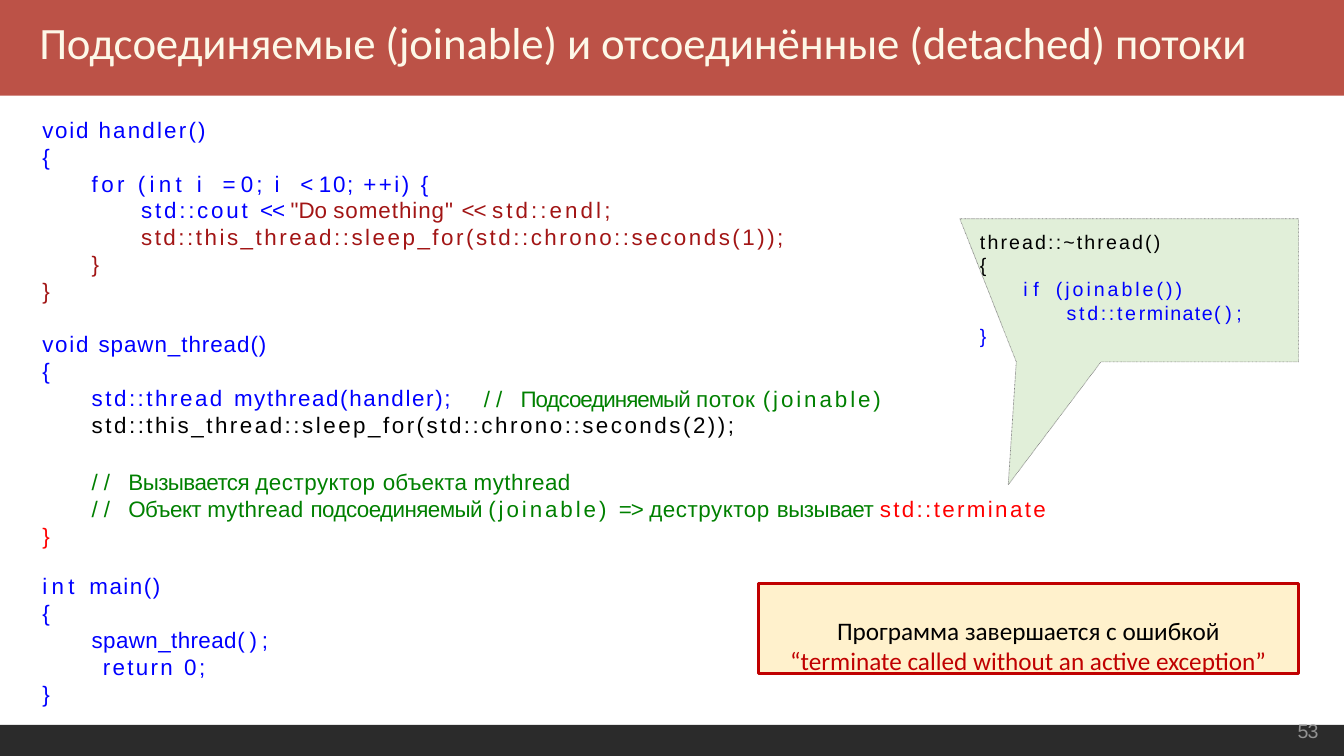
import pptx
import pptx.util
import pptx.dml.color
import pptx.enum.dml
import pptx.enum.shapes
import pptx.enum.text

Inches = pptx.util.Inches
Pt = pptx.util.Pt

BLACK, BLUE, GREEN = "000000", "0000FF", "008000"
BROWN, RED, DARK_RED = "A21515", "FF0000", "C00000"
LINE_FACTOR = 1.2

# Code lines: (indent, [(text, letter spacing, colour), ...])
HANDLER = [
    (0.01, [("void ", 1.3, BLUE), ("handler()", 1.6, BLUE)]),
    (0.01, [("{", 3.4, BLUE)]),
    (0.5, [("for ", 2.5, BLUE), ("(int ", 3.1, BLUE), ("i ", 5.2, BLUE),
           ("= ", -0.6, BLUE), ("0; ", 2.1, BLUE), ("i ", 5.2, BLUE),
           ("< ", -0.6, BLUE), ("10; ", 1.3, BLUE), ("++i) ", 1.8, BLUE),
           ("{", 3.4, BLUE)]),
    (0.99, [("std::cout ", 2, BLUE), ("<< ", -0.6, BLUE), ('"Do ', 0, BROWN),
            ('something" ', 0.7, BROWN), ("<< ", -0.6, BROWN),
            ("std::endl;", 2.2, BROWN)]),
    (0.99, [("std::this_thread::sleep_for(std::chrono::seconds(1));", 1.8, BROWN)]),
    (0.5, [("}", 3.4, BROWN)]),
    (0.01, [("}", 3.4, BROWN)]),
]
SPAWN = [
    (0.01, [("void ", 1.3, BLUE), ("spawn_thread()", 0.7, BLUE)]),
    (0.01, [("{", 3.4, BLUE)]),
    (0.5, [("std::thread ", 1.8, BLUE), ("mythread(handler);", 1.2, BLUE)]),
]
JOINABLE_NOTE = [
    (0.01, [("// ", 4.3, GREEN), ("Подсоединяемый ", -0.7, GREEN),
            ("поток ", 0.5, GREEN), ("(joinable)", 2.1, GREEN)]),
]
SLEEP = [
    (0.5, [("std::this_thread::sleep_for(std::chrono::seconds(2));", 1.8, BLACK)]),
]
DESTRUCTOR_NOTE = [
    (0.5, [("// ", 4.3, GREEN), ("Вызывается ", -0.4, GREEN),
           ("деструктор ", 0.4, GREEN), ("объекта ", 0.1, GREEN),
           ("mythread", 0.4, GREEN)]),
    (0.5, [("// ", 4.3, GREEN), ("Объект ", -0.4, GREEN),
           ("mythread ", 0.3, GREEN), ("подсоединяемый ", -0.4, GREEN),
           ("(joinable) ", 2.1, GREEN), ("=> ", -0.6, GREEN),
           ("деструктор ", 0.4, GREEN), ("вызывает ", -0.3, GREEN),
           ("std::terminate", 1.7, RED)]),
    (0.01, [("}", 3.4, RED)]),
]
MAIN = [
    (0.01, [("int ", 3.1, BLUE), ("main()", 1.1, BLUE)]),
    (0.01, [("{", 3.4, BLUE)]),
    (0.5, [("spawn_thread", 0.3, BLUE), ("();", 3.5, BLUE)]),
    (0.61, [("return ", 1.7, BLUE), ("0;", 2, BLUE)]),
    (0.01, [("}", 3.4, BLUE)]),
]
DESTRUCTOR = [
    (0.01, [("thread::~thread()", 1.5, BLACK)]),
    (0.01, [("{", 3, BLACK)]),
    (0.44, [("if ", 4.1, BLUE), ("(joinable())", 2.1, BLUE)]),
    (0.87, [("std::te", 1.9, BLUE), ("rminate", 1, BLUE), ("();", 3.3, BLUE)]),
    (0.01, [("}", 3, BLUE)]),
]


def colour(hex_string):
    return pptx.dml.color.RGBColor.from_string(hex_string)


def paint(shape, fill, line=None, width=0):
    shape.shadow.inherit = False
    shape.fill.solid()
    shape.fill.fore_color.rgb = colour(fill)
    if line:
        shape.line.color.rgb = colour(line)
        shape.line.width = Pt(width)
    else:
        shape.line.fill.background()


def add_rect(page, box, fill, line=None, width=0):
    rect = page.shapes.add_shape(pptx.enum.shapes.MSO_SHAPE.RECTANGLE,
                                 *map(Inches, box))
    paint(rect, fill, line, width)
    return rect


def set_margins(frame, top=0):
    frame.margin_left = frame.margin_right = frame.margin_bottom = 0
    frame.margin_top = Inches(top)
    frame.vertical_anchor = pptx.enum.text.MSO_ANCHOR.TOP


def add_text(page, box, wrap=False):
    frame = page.shapes.add_textbox(*map(Inches, box)).text_frame
    frame.word_wrap = wrap
    set_margins(frame, 0.01)
    return frame


def fill_para(para, spans, font, size):
    para.font.name = font
    para.font.size = Pt(size)
    for text, spacing, hex_string in spans:
        span = para.add_run()
        span.text = text
        span.font.color.rgb = colour(hex_string)
        span._r.get_or_add_rPr().set("spc", str(round(spacing * 100)))


def add_code(page, box, lines, size=16, gaps=None):
    """Place code lines; gaps maps a line number to the space before it."""
    frame = add_text(page, box)
    for number, (indent, spans) in enumerate(lines):
        para = frame.add_paragraph() if number else frame.paragraphs[0]
        para._p.get_or_add_pPr().set("marL", str(Inches(indent)))
        para.line_spacing = Pt(size * LINE_FACTOR)
        para.space_before = Pt((gaps or {}).get(number, 0))
        fill_para(para, spans, "Arial", size)


def add_header(page, box):
    left, top, width, height = box
    add_rect(page, box, "BC5247")
    frame = add_text(page, (left + 0.39, top + 0.14, width - 0.8, height - 0.2))
    title = "Подсоединяемые (joinable) и отсоединённые (detached) потоки"
    fill_para(frame.paragraphs[0], [(title, -0.1, "FDF8E8")], "Calibri", 32)


def add_footer(page, box):
    left, top, width, height = box
    add_rect(page, box, "2B2B2B")
    frame = add_text(page, (left + width - 0.46, top - 0.07, 0.22, 0.23))
    fill_para(frame.paragraphs[0], [("53", -0.7, "929292")], "Arial", 14)


def add_listing(page, box):
    left, top, width, height = box
    add_code(page, (left, top, 7.44, 1.88), HANDLER)
    add_code(page, (left, top + 2.13, 4.16, 0.81), SPAWN)
    add_code(page, (left + 4.38, top + 2.67, 4.16, 0.28), JOINABLE_NOTE)
    add_code(page, (left, top + 2.93, width, 1.36), SLEEP + DESTRUCTOR_NOTE,
             gaps={len(SLEEP): 21.4})
    add_code(page, (left, top + 4.53, 2.34, 1.34), MAIN)


def add_callout(page, box):
    left, top, width, height = box
    # Outline with the pointer hanging from the lower edge
    corners = [(0, 0), (width, 0), (width, height), (1.4, height),
               (0.48, height + 1.22), (0.56, height)]
    points = [(Inches(left + x), Inches(top + y)) for x, y in corners]
    builder = page.shapes.build_freeform(*points[0])
    builder.add_line_segments(points[1:], close=True)
    bubble = builder.convert_to_shape()
    paint(bubble, "E1EFD9", "7E7E7E", 0.48)
    bubble.line.dash_style = pptx.enum.dml.MSO_LINE.ROUND_DOT
    add_code(page, (left + 0.19, top + 0.1, 2.72, 1.18), DESTRUCTOR, size=14)


def add_error(page, box):
    frame = add_rect(page, box, "FFF1CC", DARK_RED, 2.27).text_frame
    frame.word_wrap = True
    set_margins(frame, 0.31)
    lines = [("Программа завершается с ошибкой", BLACK),
             ("“terminate called without an active exception”", DARK_RED)]
    for number, (text, hex_string) in enumerate(lines):
        para = frame.add_paragraph() if number else frame.paragraphs[0]
        para.alignment = pptx.enum.text.PP_ALIGN.CENTER
        fill_para(para, [(text, 0, hex_string)], "Calibri", 18)


def main():
    deck = pptx.Presentation()
    deck.slide_width, deck.slide_height = Inches(13.33), Inches(7.5)
    page = deck.slides.add_slide(deck.slide_layouts[6])
    add_footer(page, (0, 7.19, 13.33, 0.31))
    add_header(page, (0, 0, 13.33, 0.95))
    add_listing(page, (0.41, 1.14, 10.48, 5.87))
    add_error(page, (7.52, 5.79, 5.36, 0.89))
    add_callout(page, (9.52, 2.17, 3.36, 1.42))
    deck.save("out.pptx")


if __name__ == "__main__":
    main()
